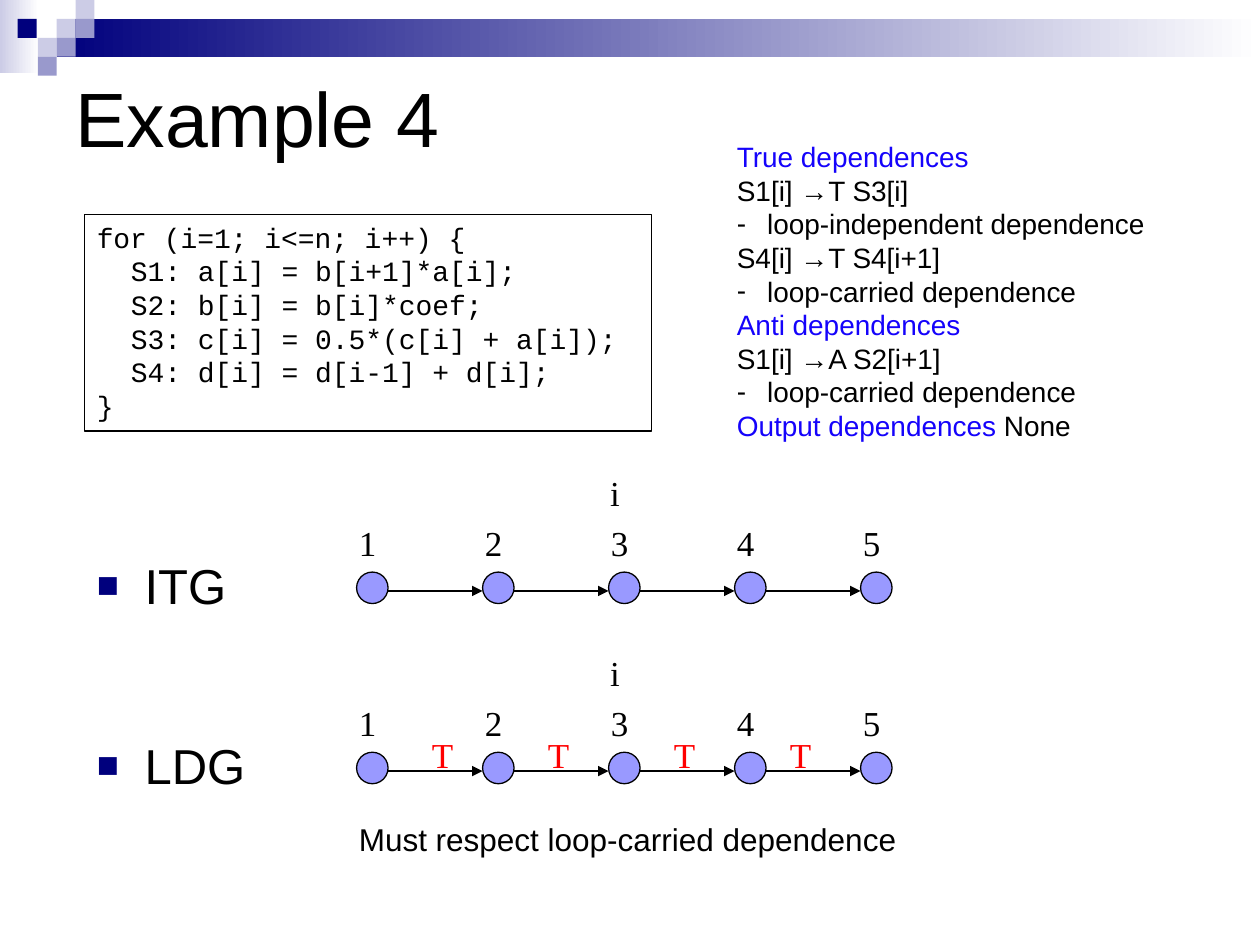
from lxml.etree import SubElement
from pptx import Presentation
from pptx.dml.color import RGBColor
from pptx.enum.shapes import MSO_CONNECTOR, MSO_SHAPE
from pptx.enum.text import MSO_ANCHOR, MSO_AUTO_SIZE, PP_ALIGN
from pptx.oxml.ns import qn
from pptx.util import Inches, Pt

HUES = {
    "black": "000000", "white": "FFFFFF", "navy": "00007D", "pale": "CCCCE6",
    "mid": "9999CC", "node": "9999FF", "blue": "1503FB", "red": "FF0000",
}
SANS, MONO, SERIF = "Arial", "Courier New", "Times New Roman"


def hue(name):
    return RGBColor.from_string(HUES[name])


class Deck:
    """Holds the style, the slide and the shape tree that receives new parts."""

    def __init__(self):
        self.file = Presentation()
        self.file.slide_width, self.file.slide_height = Inches(10), Inches(7.5)
        self.slide = self.file.slides.add_slide(self.file.slide_layouts[6])
        self.host = self.slide.shapes
        self.width = Pt(0.75)

    def group(self):
        self.host = self.slide.shapes.add_group_shape().shapes

    def ungroup(self):
        self.host = self.slide.shapes

    def shape(self, kind, box, fill=None, fade=None, line=None):
        """Adds a preset shape; fade is the end colour of a gradient."""
        item = self.host.add_shape(kind, *map(Inches, box))
        item.shadow.inherit = False
        if fade:
            item.fill.gradient()
            item.fill.gradient_angle = 0
            for stop, name in zip(item.fill.gradient_stops, (fill, fade)):
                stop.color.rgb = hue(name)
        elif fill:
            item.fill.solid()
            item.fill.fore_color.rgb = hue(fill)
        else:
            item.fill.background()
        if line:
            item.line.color.rgb = hue(line)
            item.line.width = self.width
        else:
            item.line.fill.background()
        return item

    def arrow(self, start, end, y):
        line = self.host.add_connector(
            MSO_CONNECTOR.STRAIGHT, *map(Inches, (start, y, end, y)))
        line.line.color.rgb = hue("black")
        line.line.width = self.width
        props = line._element.spPr
        SubElement(props.find(qn("a:ln")), qn("a:tailEnd"), type="triangle")
        SubElement(props, qn("a:effectLst"))

    def text(self, box, lines, size, font=SANS, wrap=True, grow=True, **form):
        item = self.host.add_textbox(*map(Inches, box))
        self.letter(item.text_frame, lines, size, font, wrap, grow, **form)

    def letter(self, frame, lines, size, font, wrap=True, grow=True,
               color="black", align=PP_ALIGN.LEFT, anchor=MSO_ANCHOR.TOP):
        """Fills a frame; a line is a string or a dict of runs, mark and indent."""
        fit = MSO_AUTO_SIZE.SHAPE_TO_FIT_TEXT if grow else MSO_AUTO_SIZE.NONE
        setup = {"word_wrap": wrap, "auto_size": fit, "vertical_anchor": anchor}
        for key, value in setup.items():
            setattr(frame, key, value)
        for i, line in enumerate(lines):
            para = frame.add_paragraph() if i else frame.paragraphs[0]
            para.alignment = align
            if isinstance(line, str):
                line = {"runs": [(line, color)]}
            for words, name in line["runs"]:
                run = para.add_run()
                run.text = words
                for key, value in {"size": Pt(size), "name": font}.items():
                    setattr(run.font, key, value)
                run.font.color.rgb = hue(name)
            if "before" in line:
                para.space_before = Pt(line["before"])
            if "indent" in line:
                self.indent(para, **line["indent"])

    def indent(self, para, left, mark=None, tint=None, scale=None):
        """Indents a paragraph, with a hanging bullet when a mark is given."""
        props = para._p.get_or_add_pPr()
        props.set("marL", str(Inches(left)))
        if not mark:
            return
        props.set("indent", str(-Inches(left)))
        if tint:
            SubElement(SubElement(props, qn("a:buClr")), qn("a:srgbClr"),
                       val=HUES[tint])
        if scale:
            SubElement(props, qn("a:buSzPct"), val=str(scale * 1000))
        SubElement(props, qn("a:buFont"), typeface=SANS)
        SubElement(props, qn("a:buChar"), char=mark)


def banner(deck):
    deck.group()
    rect = MSO_SHAPE.RECTANGLE
    deck.shape(rect, (0, 0, 0.31, 0.58), "pale", "white")
    deck.shape(rect, (0.45, 0.15, 9.55, 0.3), "navy", "white")
    side = 0.15
    tiles = [(0.45, 0.15, "pale"), (0.6, 0, "pale"), (0.6, 0.15, "mid"),
             (0.3, 0.3, "pale"), (0.14, 0.15, "navy"), (0.45, 0.3, "mid"),
             (0.3, 0.45, "mid")]
    for x, y, name in tiles:
        deck.shape(rect, (x, y, side, side), name)
    deck.ungroup()


def code(deck):
    body = ["S1: a[i] = b[i+1]*a[i];", "S2: b[i] = b[i]*coef;",
            "S3: c[i] = 0.5*(c[i] + a[i]);", "S4: d[i] = d[i-1] + d[i];"]
    inner = [{"runs": [(row, "black")], "indent": {"left": 0.27}}
             for row in body]
    box = deck.shape(MSO_SHAPE.RECTANGLE, (0.67, 1.7, 4.5, 1.72), line="black")
    deck.letter(box.text_frame, ["for (i=1; i<=n; i++) {", *inner, "}"], 16, MONO)


def facts(deck):
    def head(words, *more):
        return {"runs": [(words, "blue"), *more]}

    def item(words):
        return {"runs": [(words, "black")], "indent": {"left": 0.24, "mark": "-"}}

    carried = "loop-carried dependence"
    deck.text((5.75, 1.06, 3.58, 2.52), [
        head("True dependences"),
        "S1[i] →T S3[i]", item("loop-independent dependence"),
        "S4[i] →T S4[i+1]", item(carried),
        head("Anti dependences"),
        "S1[i] →A S2[i+1]", item(carried),
        head("Output dependences ", ("None", "black")),
    ], 16)


def graph(deck, top, marks=()):
    """Draws five linked nodes; marks are the left edges of the T labels."""
    deck.group()
    deck.text((4.67, top, 0.42, 0.44), ["i"], 20, SERIF, align=PP_ALIGN.CENTER)
    count, left, size = 5, 2.83, 0.25
    for i in range(count):
        x = left + i
        deck.shape(MSO_SHAPE.OVAL, (x, top + 0.85, size, size), "node",
                   line="black")
        deck.text((x - 0.08, top + 0.4, 0.36, 0.44), [str(i + 1)], 20, SERIF,
                  wrap=False)
        if i < count - 1:
            deck.arrow(x + size, x + 1, top + 1)
    for x in marks:
        deck.text((x, top + 0.65, 0.42, 0.44), ["T"], 20, SERIF, color="red")
    deck.ungroup()


def label(deck, words, top):
    line = {"runs": [(words, "black")], "before": 5.6,
            "indent": {"left": 0.38, "mark": "■", "tint": "navy", "scale": 75}}
    deck.text((0.67, top, 3.67, 0.67), [line], 28, grow=False)


def main():
    deck = Deck()
    banner(deck)
    deck.text((0.5, 0.5, 9, 0.86), ["Example 4"], 44, grow=False,
              anchor=MSO_ANCHOR.MIDDLE)
    code(deck)
    facts(deck)
    graph(deck, 3.69)
    graph(deck, 5.12, (3.33, 4.25, 5.25, 6.17))
    deck.text((2.75, 6.46, 5.1, 0.4), ["Must respect loop-carried dependence"], 18)
    label(deck, "LDG", 5.79)
    label(deck, "ITG", 4.36)
    deck.file.save("out.pptx")


if __name__ == "__main__":
    main()
